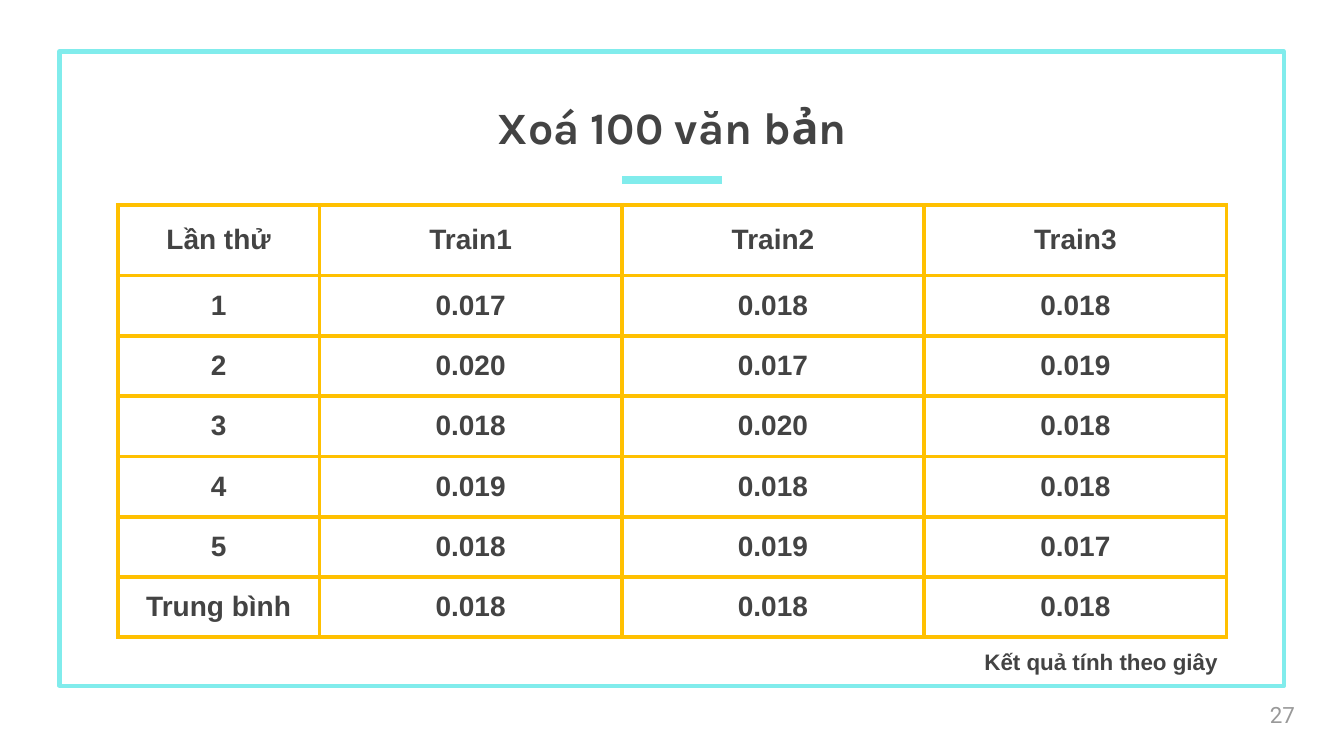
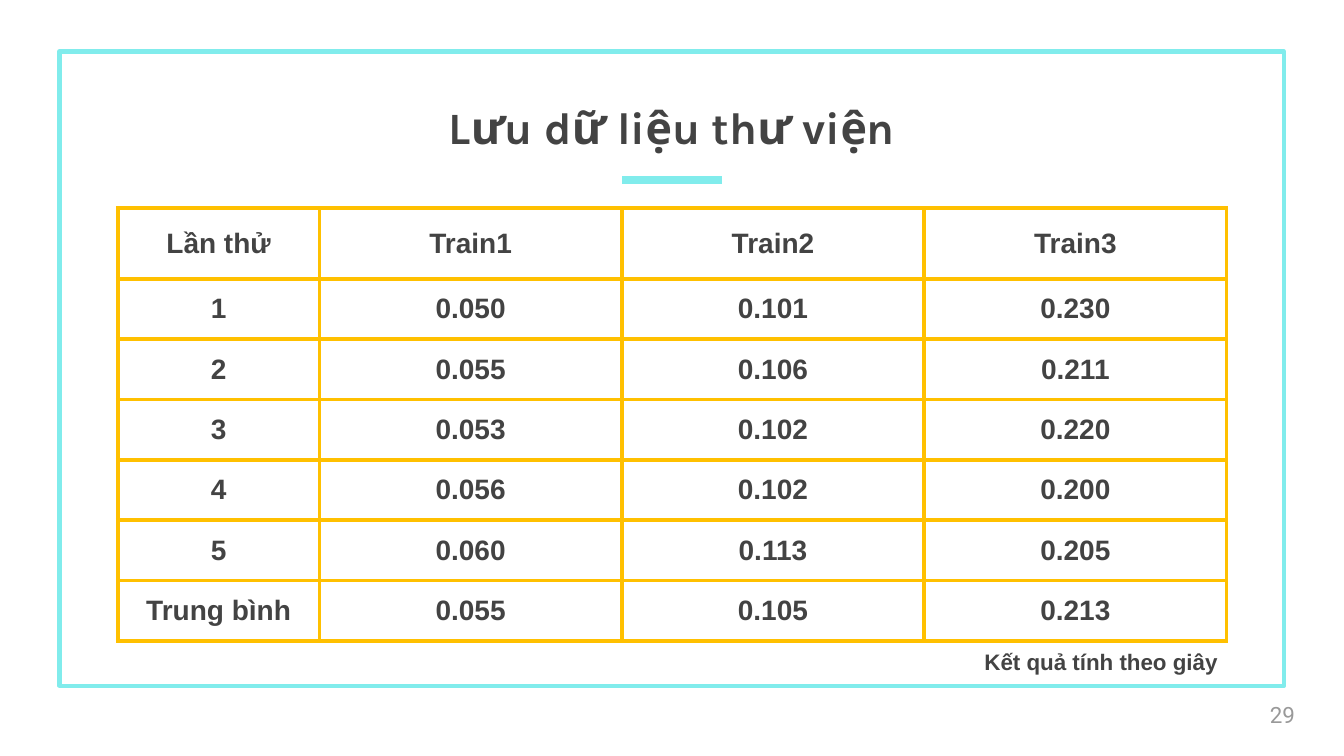
import pptx
import pptx.util
import pptx.dml.color
import pptx.enum.text
import pptx.enum.shapes
import pptx.oxml
import pptx.oxml.ns
import lxml.etree

Cm, Pt = pptx.util.Cm, pptx.util.Pt
RGBColor = pptx.dml.color.RGBColor
Align = pptx.enum.text.PP_ALIGN
Anchor = pptx.enum.text.MSO_ANCHOR

# Content
HEAD = ("Lần thử", "Train1", "Train2", "Train3")
TRIES = ("1", "2", "3", "4", "5", "Trung bình")
NOTE = "Kết quả tính theo giây"
PAGES = [
    {"title": "Xoá 100 văn bản", "page": "27", "top": 5.16, "data": [
        ("0.017", "0.018", "0.018"),
        ("0.020", "0.017", "0.019"),
        ("0.018", "0.020", "0.018"),
        ("0.019", "0.018", "0.018"),
        ("0.018", "0.019", "0.017"),
        ("0.018", "0.018", "0.018")]},
    {"title": "Lưu dữ liệu thư viện", "page": "29", "top": 5.25, "data": [
        ("0.050", "0.101", "0.230"),
        ("0.055", "0.106", "0.211"),
        ("0.053", "0.102", "0.220"),
        ("0.056", "0.102", "0.200"),
        ("0.060", "0.113", "0.205"),
        ("0.055", "0.105", "0.213")]},
]

# Style
CYAN = RGBColor(0x81, 0xEC, 0xEC)
GOLD = RGBColor(0xFF, 0xC0, 0x00)
DARK = RGBColor(0x43, 0x43, 0x43)
GREY = RGBColor(0x99, 0x99, 0x99)
WHITE = RGBColor(0xFF, 0xFF, 0xFF)
WIDE, HIGH = 33.87, 19.05
INSET = 0.33
COLS = (5.08, 7.62, 7.62, 7.62)
ROWS = (1.78,) + (1.52,) * len(TRIES)


def write(frame, text, size, font, color, bold=True, align=Align.CENTER):
    para = frame.paragraphs[0]
    para.alignment = align
    run = para.add_run()
    run.text = text
    run.font.size = Pt(size)
    run.font.name = font
    run.font.bold = bold
    run.font.color.rgb = color


def inset(frame, anchor):
    frame.margin_left = frame.margin_right = Cm(INSET)
    frame.margin_top = frame.margin_bottom = Cm(INSET)
    frame.vertical_anchor = anchor
    frame.word_wrap = True


def add_frame(slide):
    box = slide.shapes.add_shape(
        pptx.enum.shapes.MSO_SHAPE.RECTANGLE,
        Cm(1.5), Cm(1.3), Cm(30.86), Cm(15.98))
    box.shadow.inherit = False
    box.fill.background()
    box.line.color.rgb = CYAN
    box.line.width = Pt(3)
    half = 1.26
    bar = slide.shapes.add_connector(
        pptx.enum.shapes.MSO_CONNECTOR.STRAIGHT,
        Cm(WIDE / 2 - half), Cm(4.53), Cm(WIDE / 2 + half), Cm(4.53))
    bar.line.color.rgb = CYAN
    bar.line.width = Pt(6)
    lxml.etree.SubElement(bar.element.spPr, pptx.oxml.ns.qn("a:effectLst"))


def add_title(slide, text):
    title = slide.shapes.title
    title.left, title.top = Cm(0), Cm(0.82)
    title.width, title.height = Cm(WIDE), Cm(3.38)
    inset(title.text_frame, Anchor.BOTTOM)
    write(title.text_frame, text, 32, "Karla", DARK)


def add_page(slide, text):
    box = slide.shapes.add_textbox(Cm(31.67), Cm(17.27), Cm(2.03), Cm(1.45))
    inset(box.text_frame, Anchor.MIDDLE)
    write(box.text_frame, text, 16, "Roboto", GREY, False, Align.LEFT)


def add_note(slide):
    box = slide.shapes.add_textbox(Cm(24.56), Cm(16.2), Cm(7.09), Cm(0.94))
    box.text_frame.word_wrap = True
    write(box.text_frame, NOTE, 16, "Arial", DARK, align=Align.LEFT)


def edge(cell):
    props = cell._tc.get_or_add_tcPr()
    for side in "LRTB":
        props.append(pptx.oxml.parse_xml(
            f'<a:ln{side} {pptx.oxml.ns.nsdecls("a")} w="{Pt(3)}">'
            f'<a:solidFill><a:srgbClr val="{GOLD}"/></a:solidFill>'
            f'</a:ln{side}>'))


def add_grid(slide, top, data):
    rows = [HEAD] + [(name, *vals) for name, vals in zip(TRIES, data)]
    table = slide.shapes.add_table(
        len(ROWS), len(COLS), Cm(2.97), Cm(top),
        Cm(sum(COLS)), Cm(sum(ROWS))).table
    table.first_row = table.horz_banding = False
    for col, width in zip(table.columns, COLS):
        col.width = Cm(width)
    for row, height, texts in zip(table.rows, ROWS, rows):
        row.height = Cm(height)
        for cell, text in zip(row.cells, texts):
            edge(cell)
            cell.fill.solid()
            cell.fill.fore_color.rgb = WHITE
            cell.vertical_anchor = Anchor.MIDDLE
            write(cell.text_frame, text, 20, "Arial", DARK)


def main():
    deck = pptx.Presentation()
    deck.slide_width, deck.slide_height = Cm(WIDE), Cm(HIGH)
    layout = deck.slide_layouts.get_by_name("Title Only")
    for page in PAGES:
        slide = deck.slides.add_slide(layout)
        add_frame(slide)
        add_title(slide, page["title"])
        add_page(slide, page["page"])
        add_grid(slide, page["top"], page["data"])
        add_note(slide)
    deck.save("out.pptx")


if __name__ == "__main__":
    main()
